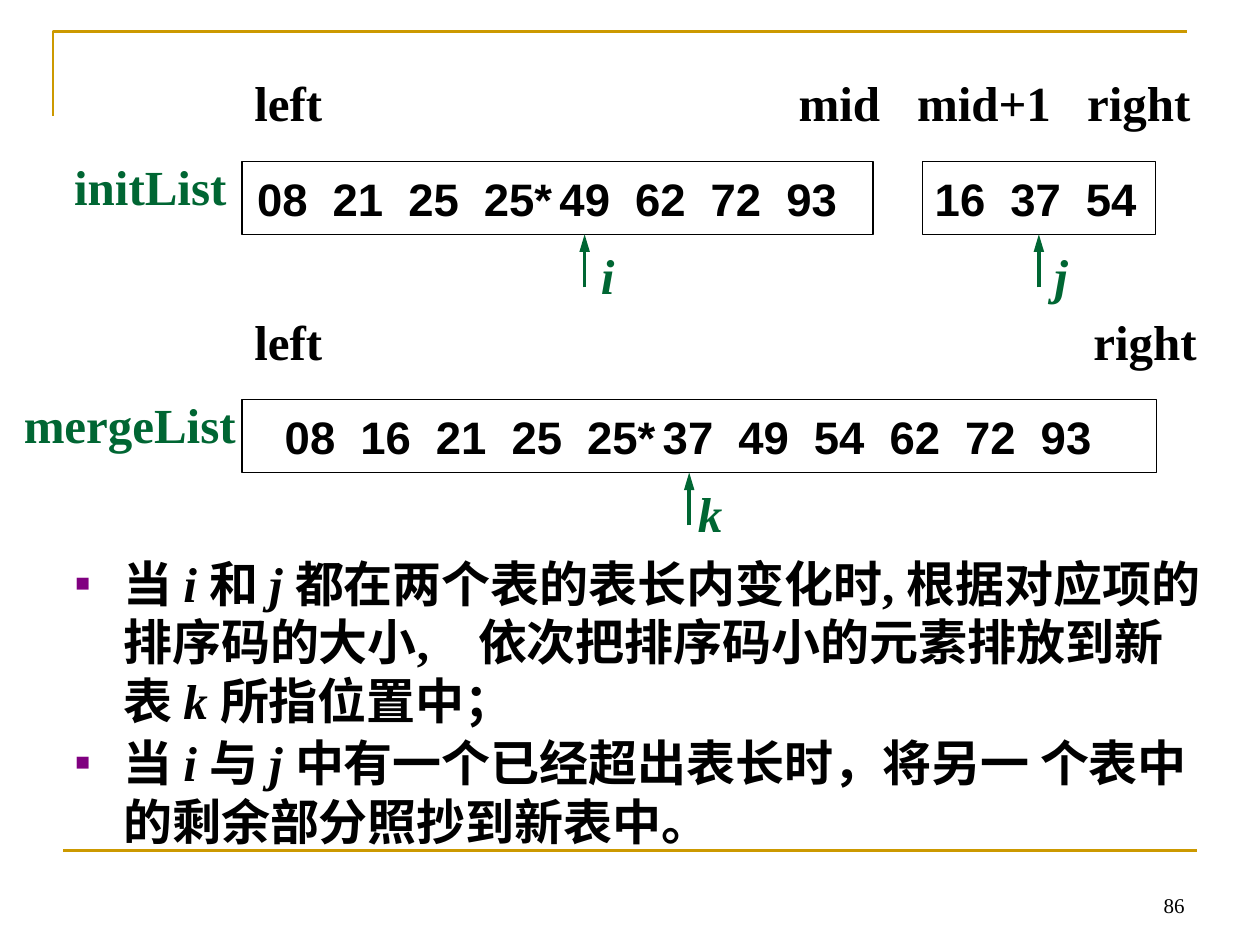
import pptx
import pptx.util
import pptx.dml.color
import pptx.enum.shapes
import pptx.enum.text
from lxml import etree

COLORS = {"ink": "000000", "paper": "FFFFFF", "accent": "006633",
          "rule": "CC9900", "bullet": "800080"}
SERIF, SANS = "Times New Roman", "Arial"

# Tab stops are measured from the start of the text.
LISTS = [
    {
        "name": "initList", "name_left": 0.49,
        "labels": ["left", "mid", "mid+1", "right"],
        "label_tabs": [4.32, 5.26, 6.61],
        "boxes": [
            {"left": 1.92, "width": 5.01, "indent": 0.12,
             "values": ["08", "21", "25", "25*", "49", "62", "72", "93"]},
            {"left": 7.32, "width": 1.85, "indent": 0.1,
             "values": ["16", "37", "54"]},
        ],
        "arrows": [(4.64, None), (8.24, 1)],  # x, index of the box it joins
        "pointers": ["i", "j"], "pointer_left": 4.67, "pointer_tabs": [3.6],
    },
    {
        "name": "mergeList", "name_left": 0.09,
        "labels": ["left", "right"],
        "label_tabs": [6.66],
        "boxes": [
            {"left": 1.92, "width": 7.26, "indent": 0.34,
             "values": ["08", "16", "21", "25", "25*", "37", "49", "54",
                        "62", "72", "93"]},
        ],
        "arrows": [(5.47, None)],
        "pointers": ["k"], "pointer_left": 5.44, "pointer_tabs": [],
    },
]
# Each paragraph alternates upright and italic runs.
NOTES = [
    ["当 ", "i ", "和 ", "j ",
     "都在两个表的表长内变化时, 根据对应项的排序码的大小,　依次把排序码小的元素排放到新表 ",
     "k ", "所指位置中；"],
    ["当 ", "i ", "与 ", "j ",
     "中有一个已经超出表长时，将另一 个表中的剩余部分照抄到新表中。"],
]
PAGE = "86"

FIRST_TOP, LIST_PITCH = 0.53, 1.89
NAME_DROP, BOX_DROP, POINTER_DROP = 0.66, 0.75, 1.37
BOX_HEIGHT, LABEL_HEIGHT, ARROW_LENGTH = 0.58, 0.57, 0.42
VALUE_PITCH = 0.6

inches = pptx.util.Inches
ANCHOR = pptx.enum.text.MSO_ANCHOR
ALIGN = pptx.enum.text.PP_ALIGN


def rgb(name):
    return pptx.dml.color.RGBColor.from_string(COLORS[name])


def add_xml(parent, tag, **attributes):
    return etree.SubElement(parent, pptx.oxml.ns.qn(tag), attributes)


def set_font(font, color="ink", **values):
    for key, value in {"name": SERIF, "size": pptx.util.Pt(28),
                       "bold": True, **values}.items():
        setattr(font, key, value)
    font.color.rgb = rgb(color)


def set_frame(frame, **values):
    for key, value in {"word_wrap": True, **values}.items():
        setattr(frame, key, value)


def write_tabbed(frame, words, stops, **font):
    paragraph = frame.paragraphs[0]
    paragraph.text = "\t".join(words)
    paragraph.alignment = ALIGN.LEFT
    if stops:
        tabs = add_xml(paragraph._p.get_or_add_pPr(), "a:tabLst")
        for stop in stops:
            add_xml(tabs, "a:tab", pos=str(inches(stop)), algn="l")
    set_font(paragraph.runs[0].font, **font)


def add_label(left, top, width, words, stops=(), **font):
    shape = slide.shapes.add_textbox(*map(inches, (left, top, width, LABEL_HEIGHT)))
    set_frame(shape.text_frame, margin_right=0)
    write_tabbed(shape.text_frame, words, stops, **font)


def add_value_box(box, top):
    shape = slide.shapes.add_shape(
        pptx.enum.shapes.MSO_SHAPE.RECTANGLE,
        *map(inches, (box["left"], top, box["width"], BOX_HEIGHT)))
    shape.shadow.inherit = False
    shape.fill.solid()
    shape.fill.fore_color.rgb = rgb("paper")
    shape.line.color.rgb = rgb("ink")
    shape.line.width = pptx.util.Pt(0.75)
    set_frame(shape.text_frame, margin_left=inches(box["indent"]), margin_right=0,
              vertical_anchor=ANCHOR.MIDDLE)
    stops = [VALUE_PITCH * column for column in range(1, len(box["values"]))]
    write_tabbed(shape.text_frame, box["values"], stops,
                 name=SANS, size=pptx.util.Pt(26))
    return shape


def add_line(start, end, color, width):
    line = slide.shapes.add_connector(
        pptx.enum.shapes.MSO_CONNECTOR.STRAIGHT, *map(inches, start + end))
    line.line.color.rgb = rgb(color)
    line.line.width = pptx.util.Pt(width)
    add_xml(line._element.spPr, "a:effectLst")
    return line


def add_list(group, top):
    box_top = top + BOX_DROP
    box_bottom = box_top + BOX_HEIGHT
    boxes = [add_value_box(box, box_top) for box in group["boxes"]]
    add_label(1.92, top, 7.66, group["labels"], group["label_tabs"])
    add_label(group["name_left"], top + NAME_DROP, 1.88, [group["name"]],
              color="accent")
    for x, joined in group["arrows"]:
        arrow = add_line((x, box_bottom + ARROW_LENGTH), (x, box_bottom), "accent", 2)
        add_xml(arrow.line._get_or_add_ln(), "a:tailEnd",
                type="triangle", w="med", len="lg")
        if joined is not None:
            arrow.end_connect(boxes[joined], 2)
            arrow.begin_x = arrow.end_x
    add_label(group["pointer_left"], top + POINTER_DROP,
              0.4 + sum(group["pointer_tabs"]), group["pointers"],
              group["pointer_tabs"], color="accent", italic=True)


def add_notes():
    frame = slide.shapes.add_textbox(*map(inches, (0.5, 4.34, 9.15, 2.92))).text_frame
    set_frame(frame)
    for index, parts in enumerate(NOTES):
        paragraph = frame.add_paragraph() if index else frame.paragraphs[0]
        properties = paragraph._p.get_or_add_pPr()
        properties.set("marL", str(inches(0.38)))
        properties.set("indent", str(inches(-0.38)))
        add_xml(add_xml(properties, "a:buClr"), "a:srgbClr", val=COLORS["bullet"])
        add_xml(properties, "a:buSzPct", val="50000")
        add_xml(properties, "a:buFont", typeface=SANS)
        add_xml(properties, "a:buChar", char="■")
        if index:
            paragraph.space_before = pptx.util.Pt(1.8)
        for position, part in enumerate(parts):
            run = paragraph.add_run()
            run.text = part
            set_font(run.font, italic=position % 2 == 1)


def add_frame_lines():
    builder = slide.shapes.build_freeform(inches(0.42), inches(0.92))
    builder.add_line_segments(
        [(inches(0.42), inches(0.25)), (inches(9.42), inches(0.25))], close=False)
    corner = builder.convert_to_shape()
    corner.shadow.inherit = False
    corner.fill.background()
    corner.line.color.rgb = rgb("rule")
    corner.line.width = pptx.util.Pt(1.5)
    add_line((0.5, 6.75), (9.5, 6.75), "rule", 1.5)


def add_page_number():
    frame = slide.shapes.add_textbox(*map(inches, (7.17, 6.83, 2.33, 0.5))).text_frame
    set_frame(frame, vertical_anchor=ANCHOR.BOTTOM)
    write_tabbed(frame, [PAGE], [], size=pptx.util.Pt(12), bold=False)
    frame.paragraphs[0].alignment = ALIGN.RIGHT


presentation = pptx.Presentation()
presentation.slide_width, presentation.slide_height = inches(10), inches(7.5)
slide = presentation.slides.add_slide(presentation.slide_layouts[6])
add_frame_lines()
add_page_number()
for row, group in enumerate(LISTS):
    add_list(group, FIRST_TOP + row * LIST_PITCH)
add_notes()
presentation.save("out.pptx")
